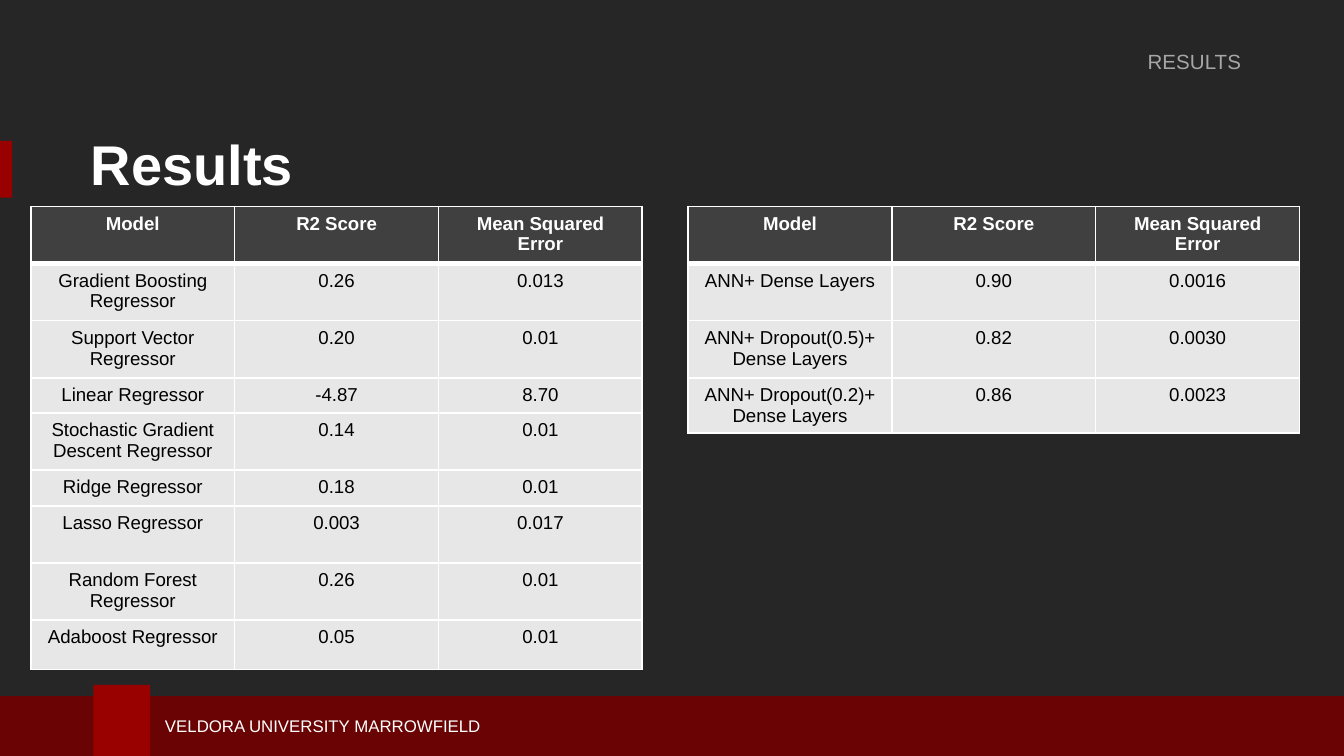
"""Build the results slide with two tables of model scores."""
from dataclasses import dataclass

from lxml import etree
from pptx import Presentation
from pptx.dml.color import RGBColor
from pptx.enum import shapes, text
from pptx.oxml import ns
from pptx.util import Pt

LEFT, MID, RIGHT = text.PP_ALIGN.LEFT, text.PP_ALIGN.CENTER, text.PP_ALIGN.RIGHT
WHITE, BLACK, RED = "FFFFFF", "000000", "990000"
HEAD = ("Model", "R2 Score", "Mean Squared Error")
WIDE, TALL, SHORT = 109.2, 30.6, 19


@dataclass
class Box:
    x: float
    y: float
    w: float
    h: float

    def place(self) -> tuple:
        return Pt(self.x), Pt(self.y), Pt(self.w), Pt(self.h)


@dataclass
class Bar:
    box: Box
    fill: str


@dataclass
class Label:
    words: str
    size: float
    tint: str = WHITE
    bold: bool = False
    side: int = LEFT
    after: float = 0


@dataclass
class Grid:
    x: float
    rows: list
    sizes: list


BARS = [
    Bar(Box(0, 75.5, 6.5, 30.5), RED),
    Bar(Box(-2, 373, 726, 36), "690304"),
    Bar(Box(50, 367, 30.5, 42), RED),
]
GRIDS = [
    Grid(16.5, [
        HEAD,
        ("Gradient Boosting Regressor", "0.26", "0.013"),
        ("Support Vector Regressor", "0.20", "0.01"),
        ("Linear Regressor", "-4.87", "8.70"),
        ("Stochastic Gradient Descent Regressor", "0.14", "0.01"),
        ("Ridge Regressor", "0.18", "0.01"),
        ("Lasso Regressor", "0.003", "0.017"),
        ("Random Forest Regressor", "0.26", "0.01"),
        ("Adaboost Regressor", "0.05", "0.01"),
    ], [TALL, TALL, TALL, SHORT, TALL, SHORT, TALL, TALL, 26.7]),
    Grid(368.6, [
        HEAD,
        ("ANN+ Dense Layers", "0.90", "0.0016"),
        ("ANN+ Dropout(0.5)+ Dense Layers", "0.82", "0.0030"),
        ("ANN+ Dropout(0.2)+ Dense Layers", "0.86", "0.0023"),
    ], [TALL, TALL, TALL, 29.5]),
]


def paint(fill, tint: str) -> None:
    fill.solid()
    fill.fore_color.rgb = RGBColor.from_string(tint)


def write(frame, label: Label) -> None:
    frame.text = label.words
    para = frame.paragraphs[0]
    font = para.runs[0].font
    looks = {
        para: {"alignment": label.side, "space_before": Pt(0),
               "space_after": Pt(label.after)},
        font: {"name": "Arial", "size": Pt(label.size), "bold": label.bold},
    }
    for part, values in looks.items():
        for key, value in values.items():
            setattr(part, key, value)
    paint(font.fill, label.tint)


def settle(shape, box: Box, label: Label, anchor: int) -> None:
    shape.left, shape.top, shape.width, shape.height = box.place()
    write(shape.text_frame, label)
    values = {"word_wrap": True, "vertical_anchor": anchor,
              "auto_size": text.MSO_AUTO_SIZE.NONE}
    for key, value in values.items():
        setattr(shape.text_frame, key, value)


def unlist(shape) -> None:
    props = shape.text_frame.paragraphs[0]._p.get_or_add_pPr()
    props.set("marL", "0")
    props.set("indent", "0")
    etree.SubElement(props, ns.qn("a:buNone"))


def edge(cell, side: str, width: float) -> None:
    props = cell._tc.get_or_add_tcPr()
    line = etree.SubElement(props, ns.qn(f"a:ln{side}"), w=str(Pt(width)))
    fill = etree.SubElement(line, ns.qn("a:solidFill"))
    etree.SubElement(fill, ns.qn("a:srgbClr"), val=WHITE)


def draw_bar(slide, bar: Bar) -> None:
    shape = slide.shapes.add_shape(shapes.MSO_SHAPE.RECTANGLE, *bar.box.place())
    shape.shadow.inherit = False
    paint(shape.fill, bar.fill)
    shape.line.fill.background()


def draw_grid(slide, grid: Grid) -> None:
    box = Box(grid.x, 110.6, WIDE * len(HEAD), sum(grid.sizes))
    table = slide.shapes.add_table(len(grid.rows), len(HEAD), *box.place()).table
    table.horz_banding = False
    for col in table.columns:
        col.width = Pt(WIDE)
    for r, (row, size) in enumerate(zip(grid.rows, grid.sizes)):
        table.rows[r].height = Pt(size)
        top = r == 0
        widths = {"L": 1, "R": 1, "T": 3 if r == 1 else 1, "B": 3 if top else 1}
        for c, words in enumerate(row):
            cell = table.cell(r, c)
            for side, width in widths.items():
                edge(cell, side, width)
            paint(cell.fill, "404041" if top else "E7E7E7")
            write(cell.text_frame,
                  Label(words, 10, WHITE if top else BLACK, top, MID))


def main() -> None:
    deck = Presentation()
    deck.slide_width, deck.slide_height = Pt(720), Pt(405)
    slide = deck.slides.add_slide(deck.slide_layouts[1])
    paint(slide.background.fill, "262626")
    for bar in BARS:
        draw_bar(slide, bar)
    middle, top = text.MSO_ANCHOR.MIDDLE, text.MSO_ANCHOR.TOP
    foot = Box(81.3, 380, 284.5, 18)
    settle(slide.shapes.add_textbox(*foot.place()), foot,
           Label("VELDORA UNIVERSITY MARROWFIELD", 9), middle)
    settle(slide.shapes.title, Box(41.4, 60, 630, 54.5),
           Label("Results", 30, bold=True), middle)
    body = slide.placeholders[1]
    settle(body, Box(380.6, 22.5, 291.5, 20),
           Label("RESULTS", 11, "A6A6A6", side=RIGHT, after=18), top)
    unlist(body)
    for grid in GRIDS:
        draw_grid(slide, grid)
    deck.save("out.pptx")


if __name__ == "__main__":
    main()
